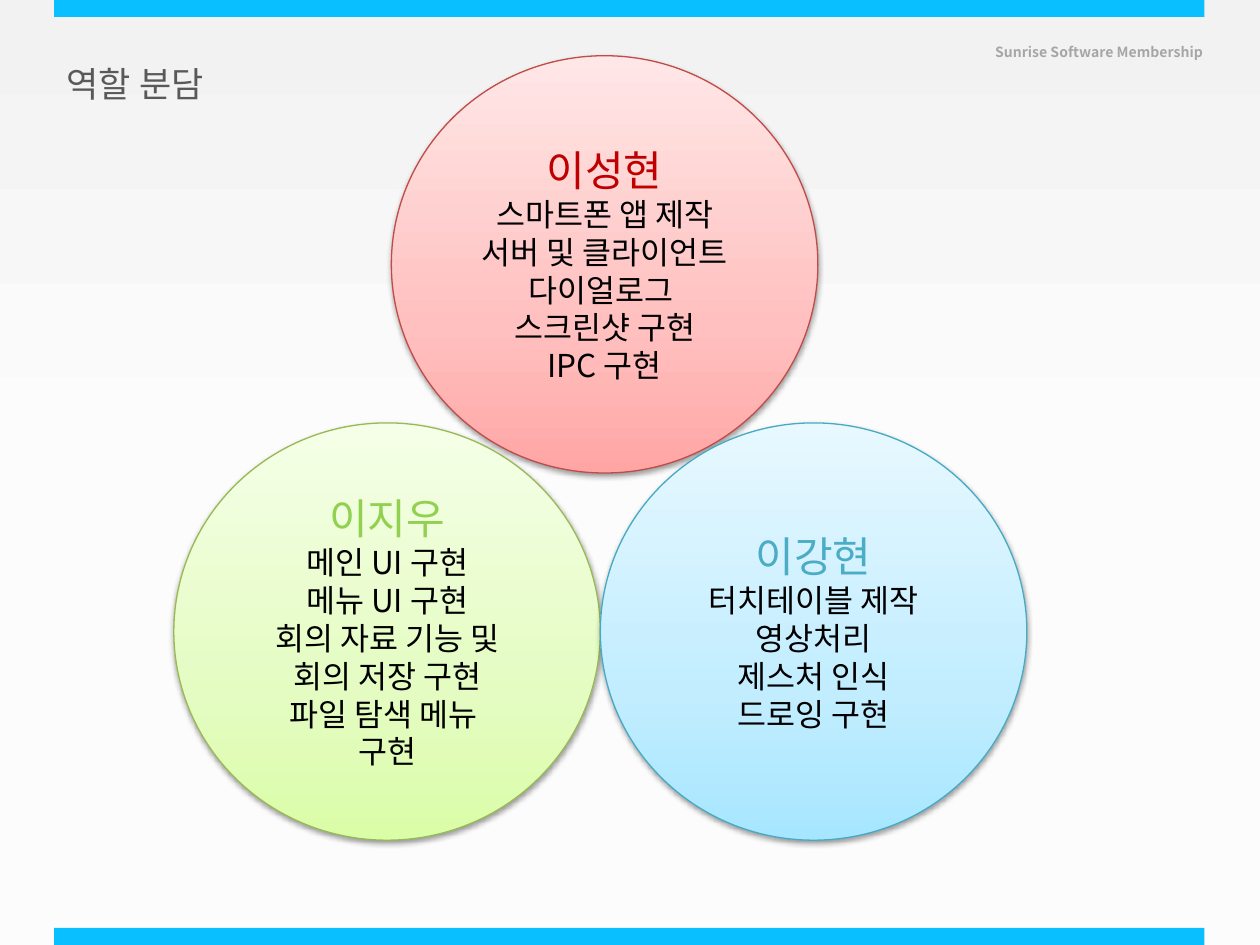
from collections import namedtuple
from lxml.etree import SubElement
from pptx import Presentation
from pptx.dml.color import RGBColor
from pptx.enum.shapes import MSO_SHAPE as Shape
from pptx.enum.text import MSO_ANCHOR as Anchor, MSO_AUTO_SIZE as AutoSize, PP_ALIGN as Align
from pptx.oxml.ns import qn
from pptx.util import Inches, Pt

Box = namedtuple("Box", "left top width height")
SLIDE = Box(0, 0, 10, 7.5)
FONT = "Noto Sans CJK KR"
LINE_RATIO = 1.2

# Name, name colour, outline, gradient from bottom to top, (column, row), tasks
MEMBERS = [
    ("이성현", "C00000", "BF4C48", ("FFA6A5", "FFC0BF", "FFE7E7"), (0.51, 0),
     ["스마트폰 앱 제작", "서버 및 클라이언트", "다이얼로그 ", "스크린샷 구현", "IPC 구현"]),
    ("이지우", "92D050", "98B955", ("DAFDA7", "E4FCC2", "F5FFE7"), (0, 0.88),
     ["메인 UI 구현", "메뉴 UI 구현", "회의 자료 기능 및 회의 저장 구현",
      "파일 탐색 메뉴 ", "구현"]),
    ("이강현", "4BACC6", "46AAC5", ("A7E6FF", "C1EDFF", "E7F8FF"), (1, 0.88),
     ["터치테이블 제작", "영상처리", "제스처 인식", "드로잉 구현"]),
]


def color(hex_value):
    return RGBColor.from_string(hex_value)


def part(box, left, top, width, height):
    """Box given as shares of another box."""
    return Box(box.left + left * box.width, box.top + top * box.height,
               width * box.width, height * box.height)


def emu(box):
    return [Inches(length) for length in box]


def write(paragraph, text, size, fill, bold=False, align=Align.LEFT):
    paragraph.alignment = align
    paragraph.line_spacing = Pt(round(size * LINE_RATIO, 1))
    run = paragraph.add_run()
    run.text = text
    font = run.font
    font.size, font.bold, font.name = Pt(size), bold, FONT
    font.color.rgb = color(fill)
    SubElement(run._r.get_or_add_rPr(), qn("a:ea"), typeface=FONT)


def set_gradient(fill, element, stops, angle):
    fill.gradient()
    fill.gradient_angle = angle
    stop_list = element.find(".//" + qn("a:gsLst"))
    for old_stop in list(stop_list):
        stop_list.remove(old_stop)
    for position, hex_value in stops:
        stop = SubElement(stop_list, qn("a:gs"), pos=str(position * 1000))
        SubElement(stop, qn("a:srgbClr"), val=hex_value)


def add_shadow(shape):
    effects = shape._element.spPr.find(qn("a:effectLst"))
    shadow = SubElement(effects, qn("a:outerShdw"), blurRad=str(Pt(3.1)),
                        dist=str(Pt(1.6)), dir="5400000", rotWithShape="0")
    black = SubElement(shadow, qn("a:srgbClr"), val="000000")
    SubElement(black, qn("a:alpha"), val="38000")


def add_frame(slide, box):
    # Pale backdrop with a bar along the top and bottom edges
    set_gradient(slide.background.fill, slide._element,
                 [(0, "F2F2F2"), (50, "FCFCFC"), (100, "FFFFFF")], 270)
    bar_height = 0.018
    for top in (0, 1 - bar_height):
        bar = slide.shapes.add_shape(
            Shape.RECTANGLE, *emu(part(box, 0.043, top, 0.913, bar_height)))
        bar.shadow.inherit = False
        bar.fill.solid()
        bar.fill.fore_color.rgb = color("09BFFF")
        bar.line.fill.background()


def add_header(slide, box):
    # Organisation name at the right, slide title at the left
    organisation = slide.shapes.add_textbox(*emu(part(box, 0.78, 0.039, 0.22, 0.032)))
    organisation.text_frame.word_wrap = True
    write(organisation.text_frame.paragraphs[0], "Sunrise Software Membership",
          8, "A6A6A6", bold=True)

    title = slide.shapes.title
    title.left, title.top, title.width, title.height = emu(
        part(box, 0.043, 0.059, 0.346, 0.059))
    title.text_frame.auto_size = AutoSize.NONE
    title.text_frame.vertical_anchor = Anchor.MIDDLE
    write(title.text_frame.paragraphs[0], "역할 분담", 20, "595959")


def add_member(slide, box, name, name_color, outline, shades, tasks):
    circle = slide.shapes.add_shape(Shape.OVAL, *emu(box))
    set_gradient(circle.fill, circle._element, zip((0, 35, 100), shades), 90)
    circle.line.color.rgb = color(outline)
    circle.line.width = Pt(0.75)
    circle.shadow.inherit = False
    add_shadow(circle)
    frame = circle.text_frame
    frame.word_wrap = True
    frame.vertical_anchor = Anchor.MIDDLE
    write(frame.paragraphs[0], name, 24, name_color, align=Align.CENTER)
    for task in tasks:
        write(frame.add_paragraph(), task, 18, "000000", align=Align.CENTER)


def add_team(slide, box):
    # Three touching circles on a grid of circle-sized cells
    width, height = 0.5, 0.532
    for name, name_color, outline, shades, (column, row), tasks in MEMBERS:
        cell = part(box, column * width, row * height, width, height)
        add_member(slide, cell, name, name_color, outline, shades, tasks)


def main():
    deck = Presentation()
    deck.slide_width, deck.slide_height = Inches(SLIDE.width), Inches(SLIDE.height)
    slide = deck.slides.add_slide(deck.slide_layouts[5])
    add_frame(slide, SLIDE)
    add_header(slide, SLIDE)
    add_team(slide, part(SLIDE, 0.138, 0.059, 0.677, 0.83))
    deck.save("out.pptx")


if __name__ == "__main__":
    main()
